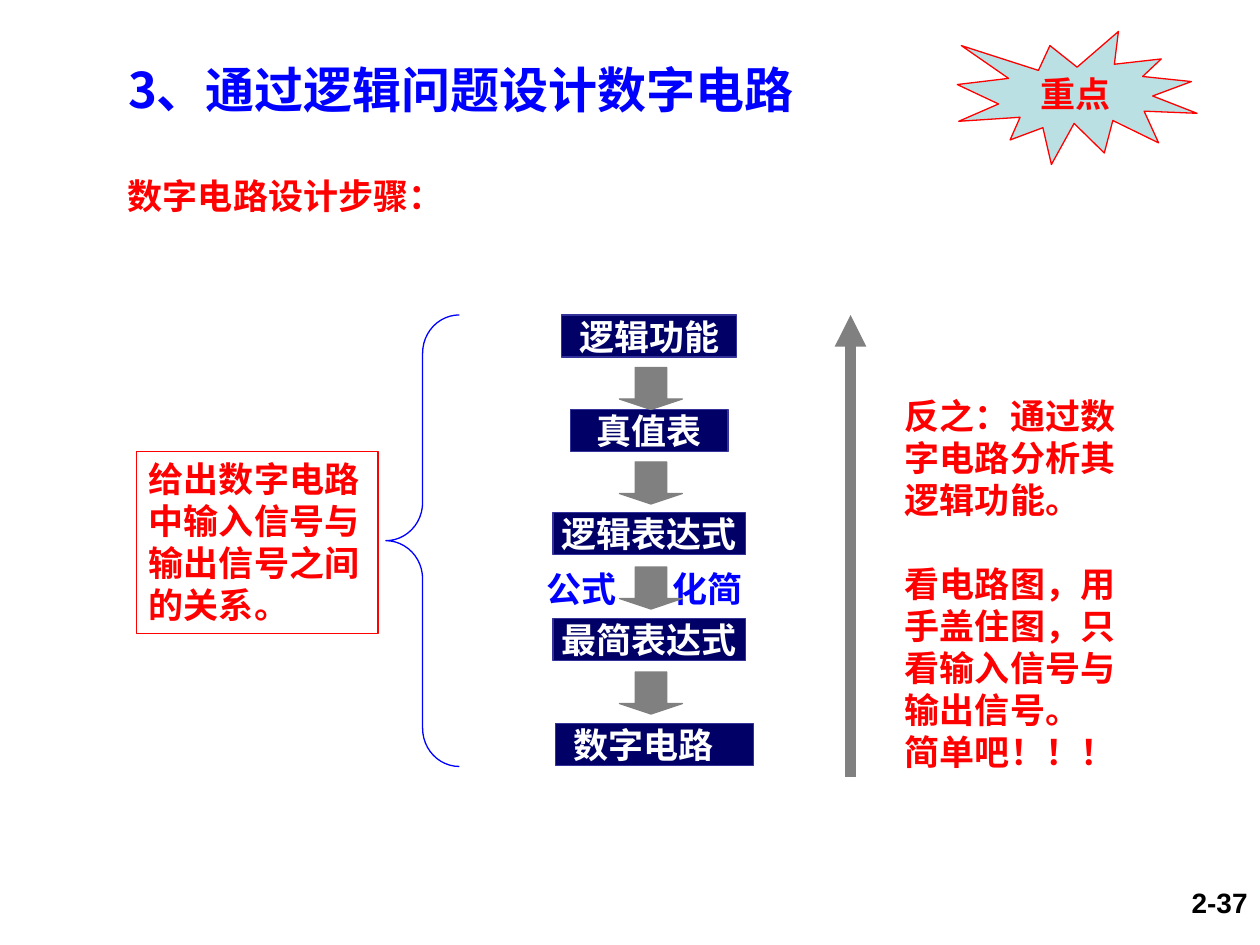
from dataclasses import dataclass

from lxml import etree
from pptx import Presentation
from pptx.dml.color import RGBColor
from pptx.enum.dml import MSO_LINE
from pptx.enum.shapes import MSO_CONNECTOR, MSO_SHAPE
from pptx.enum.text import MSO_ANCHOR, MSO_AUTO_SIZE, PP_ALIGN
from pptx.oxml.ns import qn
from pptx.util import Pt

LEFT, CENTER, RIGHT = PP_ALIGN.LEFT, PP_ALIGN.CENTER, PP_ALIGN.RIGHT
TOP, MIDDLE = MSO_ANCHOR.TOP, MSO_ANCHOR.MIDDLE
RECT, BRACE = MSO_SHAPE.RECTANGLE, MSO_SHAPE.LEFT_BRACE
DOWN_ARROW, BURST = MSO_SHAPE.DOWN_ARROW, MSO_SHAPE.EXPLOSION1
TITLE_ONLY = 5


@dataclass(frozen=True)
class Theme:
    blue: str = "0000FF"
    red: str = "FF0000"
    navy: str = "000066"
    navy_edge: str = "333399"
    gray: str = "808080"
    pale: str = "BBE0E3"
    white: str = "FFFFFF"
    black: str = "000000"
    font: str = "Noto Sans CJK SC"
    number_font: str = "Arial"
    title: int = 28
    body: int = 20
    number: int = 16
    line_height: float = 1.2
    hairline: float = 0.75


T = Theme()


def write(tf, paragraphs, color, size=T.body, font=T.font, align=LEFT,
          anchor=TOP, inset=(7.2, 3.6), tab=None, gaps=()):
    """Fill a text frame; gaps maps paragraph numbers to space before."""
    tf.word_wrap = True
    tf.auto_size = MSO_AUTO_SIZE.NONE
    tf.vertical_anchor = anchor
    tf.margin_left = tf.margin_right = Pt(inset[0])
    tf.margin_top = tf.margin_bottom = Pt(inset[1])
    for i, text in enumerate(paragraphs):
        p = tf.paragraphs[0] if i == 0 else tf.add_paragraph()
        p.text = text
        p.alignment = align
        p.line_spacing = Pt(round(size * T.line_height))
        if i in gaps:
            p.space_before = Pt(gaps[i])
        p_pr = p._p.get_or_add_pPr()
        if tab:
            tabs = etree.SubElement(p_pr, qn("a:tabLst"))
            etree.SubElement(tabs, qn("a:tab"), pos=str(Pt(tab)), algn="l")
        p.font.size = Pt(size)
        p.font.bold = True
        p.font.color.rgb = RGBColor.from_string(color)
        p.font.name = font
        etree.SubElement(p_pr.find(qn("a:defRPr")), qn("a:ea"), typeface=font)


def add_text(s, box, paragraphs, color, **style):
    tb = s.shapes.add_textbox(*map(Pt, box))
    write(tb.text_frame, paragraphs, color, **style)


def add_outline(s, kind, box, fill=None, line=None):
    sp = s.shapes.add_shape(kind, *map(Pt, box))
    sp.shadow.inherit = False
    if fill:
        sp.fill.solid()
        sp.fill.fore_color.rgb = RGBColor.from_string(fill)
    else:
        sp.fill.background()
    sp.line.color.rgb = RGBColor.from_string(line)
    sp.line.width = Pt(T.hairline)
    return sp


def add_heading(s, x, y):
    title = s.shapes.title
    title.left, title.top, title.width, title.height = map(Pt, (x, y, 480, 41))
    write(title.text_frame, ["3、通过逻辑问题设计数字电路"], T.blue, size=T.title)
    add_text(s, (x, y + 66, 384, 48), ["数字电路设计步骤："], T.red)


def add_badge(s, box):
    sp = add_outline(s, BURST, box, T.pale, T.red)
    write(sp.text_frame, ["重点"], T.red, align=CENTER, anchor=MIDDLE)


def add_steps(s, x, y):
    """Draw the design steps downwards, centred on x."""
    height = 24
    steps = [("逻辑功能", 0, 100), ("真值表", 54, 90), ("逻辑表达式", 113, 110),
             ("最简表达式", 173.5, 110)]
    for text, top, width in steps:
        sp = add_outline(s, RECT, (x - width / 2, y + top, width, height),
                         T.navy, T.navy_edge)
        write(sp.text_frame, [text], T.white, align=CENTER, inset=(0, 0))
    last = add_outline(s, RECT, (x - 53.5, y + 233.5, 113, height),
                       T.navy, T.navy_edge)
    write(last.text_frame, ["数字电路"], T.white, inset=(10, 0))

    add_text(s, (x - 59, y + 144, 126, height), ["公式\t化简"], T.blue,
             inset=(0, 0), tab=72)
    for top in (30, 84, 144, 204):
        add_outline(s, DOWN_ARROW, (x - 17, y + top, 36, height), T.gray, T.gray)
        s.shapes[-1].adjustments[1] = 0.25


def add_given(s, x, y, height):
    """Draw the boxed note and the brace that ties it to the steps."""
    sp = add_outline(s, RECT, (x, y + 78, 138, 104), line=T.red)
    write(sp.text_frame, ["给出数字电路中输入信号与输出信号之间的关系。"], T.red)
    brace = add_outline(s, BRACE, (x + 142.5, y, 42, height), line=T.blue)
    brace.adjustments[0] = 0.52


def add_reverse(s, x, y, height):
    """Draw the upward arrow and the notes on reading a circuit back."""
    cx = s.shapes.add_connector(MSO_CONNECTOR.STRAIGHT, Pt(x), Pt(y + height),
                                Pt(x), Pt(y))
    cx.line.color.rgb = RGBColor.from_string(T.gray)
    cx.line.width = Pt(6)
    cx.line.dash_style = MSO_LINE.SOLID
    etree.SubElement(cx.line._get_or_add_ln(), qn("a:tailEnd"), type="triangle")
    etree.SubElement(cx._element.spPr, qn("a:effectLst"))
    notes = ["反之：通过数字电路分析其逻辑功能。",
             "看电路图，用手盖住图，只看输入信号与输出信号。",
             "简单吧！！！"]
    add_text(s, (x + 24, y + 42, 138, 223), notes, T.red,
             gaps={1: T.body * T.line_height})


def main():
    prs = Presentation()
    prs.slide_width, prs.slide_height = Pt(720), Pt(540)
    s = prs.slides.add_slide(prs.slide_layouts[TITLE_ONLY])
    add_heading(s, 66, 30)
    add_badge(s, (547, 18, 137, 76))
    add_given(s, 78, 180, 258)
    add_steps(s, 371, 180)
    add_reverse(s, 486, 180, 264)
    add_text(s, (552, 502.5, 168, 37.5), ["2-37"], T.black, size=T.number,
             font=T.number_font, align=RIGHT)
    prs.save("out.pptx")


if __name__ == "__main__":
    main()
